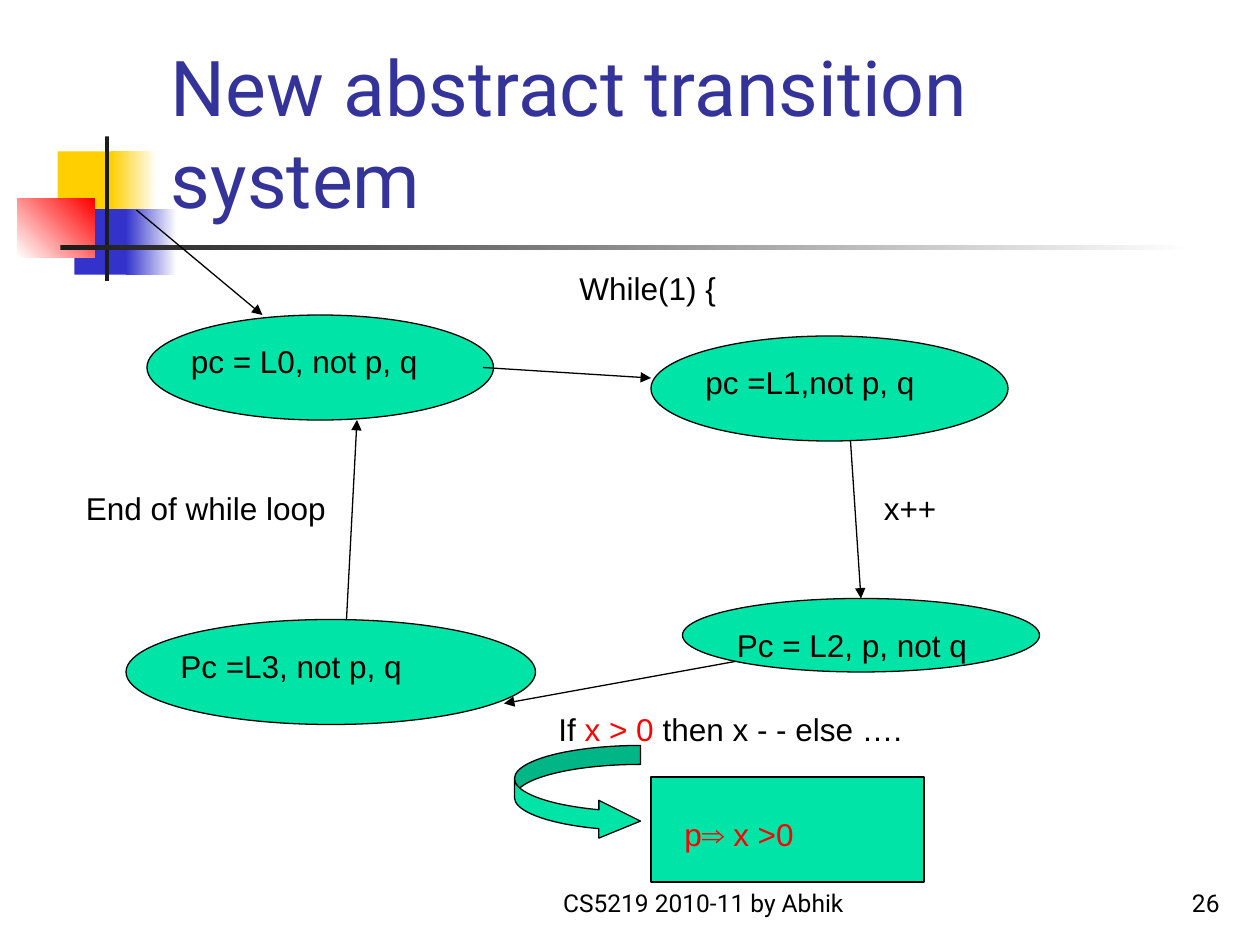
from lxml.etree import SubElement
from pptx import Presentation
from pptx.dml.color import RGBColor
from pptx.enum.shapes import MSO_CONNECTOR, MSO_SHAPE
from pptx.enum.text import MSO_ANCHOR, MSO_AUTO_SIZE, PP_ALIGN
from pptx.oxml.ns import qn
from pptx.util import Pt

BLACK = RGBColor(0x00, 0x00, 0x00)
WHITE = RGBColor(0xFF, 0xFF, 0xFF)
RED = RGBColor(0xFF, 0x00, 0x00)
GREEN = RGBColor(0x00, 0xE4, 0xA8)
YELLOW = RGBColor(0xFF, 0xCF, 0x01)
BLUE = RGBColor(0x33, 0x33, 0xCC)
CHARCOAL = RGBColor(0x1C, 0x1C, 0x1C)
TITLE_BLUE = RGBColor(0x33, 0x33, 0x99)

# Left, top, width, height, start colour, end colour (None: solid), angle
ORNAMENTS = [
    (33, 86.5, 35, 37.5, YELLOW, None, 0),
    (63.5, 86.5, 26, 37.5, YELLOW, WHITE, 0),
    (42.5, 119.5, 33, 37.5, BLUE, None, 0),
    (72, 119.5, 29, 37.5, BLUE, WHITE, 0),
    (10, 113.5, 44, 33.5, WHITE, RED, 45),
    (60, 78, 2.25, 82.5, CHARCOAL, None, 0),
    (34.5, 140.25, 648, 2.5, CHARCOAL, WHITE, 0),
]

# Ellipse frame, label left, top and width, label text
STATES = [
    ((84, 180, 198, 60), (102, 192, 150), "pc = L0, not p, q"),
    ((372, 192, 204, 60), (396, 204, 144), "pc =L1,not p, q"),
    ((390, 342, 204, 42), (414, 354, 156), "Pc = L2, p, not q"),
    ((72, 354, 234, 60), (96, 366, 186), "Pc =L3, not p, q"),
]

# Start and end points
TRANSITIONS = [
    ((78, 120), (150, 180)),
    ((276, 210), (372, 216)),
    ((486, 252), (492, 342)),
    ((420, 378), (288, 402)),
    ((198, 354), (204, 240)),
]

# Left, top and width, coloured runs
ACTIONS = [
    ((324, 150, 138), [("While(1) {", BLACK)]),
    ((498, 276, 144), [("x++", BLACK)]),
    ((312, 402, 276), [("If ", BLACK), ("x > 0", RED), (" then x - - else ….", BLACK)]),
    ((42, 276, 168), [("End of while loop", BLACK)]),
]


def add_runs(para, runs, size, font_name):
    for text, colour in runs:
        span = para.add_run()
        span.text = text
        span.font.size = Pt(size)
        span.font.name = font_name
        span.font.color.rgb = colour


def add_ornament(page, left, top, width, height, start, end, angle):
    block = page.shapes.add_shape(
        MSO_SHAPE.RECTANGLE, Pt(left), Pt(top), Pt(width), Pt(height))
    block.shadow.inherit = False
    block.line.fill.background()
    if end is None:
        block.fill.solid()
        block.fill.fore_color.rgb = start
        return
    block.fill.gradient()
    block.fill.gradient_angle = angle
    for stop, colour in zip(block.fill.gradient_stops, (start, end)):
        stop.color.rgb = colour


def add_figure(page, kind, frame):
    figure = page.shapes.add_shape(kind, *map(Pt, frame))
    figure.shadow.inherit = False
    figure.fill.solid()
    figure.fill.fore_color.rgb = GREEN
    figure.line.color.rgb = BLACK
    figure.line.width = Pt(0.75)
    return figure


def add_label(page, place, runs):
    left, top, width = place
    box = page.shapes.add_textbox(Pt(left), Pt(top), Pt(width), Pt(28.8))
    box.text_frame.word_wrap = True
    box.text_frame.auto_size = MSO_AUTO_SIZE.SHAPE_TO_FIT_TEXT
    add_runs(box.text_frame.paragraphs[0], runs, 18, "Arial")


def add_arrow(page, start, end):
    arrow = page.shapes.add_connector(
        MSO_CONNECTOR.STRAIGHT, *map(Pt, start + end))
    arrow.line.color.rgb = BLACK
    arrow.line.width = Pt(0.75)
    SubElement(arrow.line._get_or_add_ln(), qn("a:tailEnd"), type="triangle")
    SubElement(arrow._element.spPr, qn("a:effectLst"))


def add_footer(page, left, width, text, alignment):
    box = page.shapes.add_textbox(Pt(left), Pt(492), Pt(width), Pt(36))
    box.text_frame.word_wrap = True
    box.text_frame.vertical_anchor = MSO_ANCHOR.BOTTOM
    para = box.text_frame.paragraphs[0]
    para.alignment = alignment
    add_runs(para, [(text, BLACK)], 14, "Roboto")


def set_title(page, text):
    title = page.shapes.title
    title.left, title.top, title.width, title.height = map(Pt, (90.5, 16.5, 613.5, 115))
    title.text_frame.word_wrap = True
    title.text_frame.auto_size = MSO_AUTO_SIZE.NONE
    title.text_frame.vertical_anchor = MSO_ANCHOR.BOTTOM
    para = title.text_frame.paragraphs[0]
    para.alignment = PP_ALIGN.LEFT
    add_runs(para, [(text, TITLE_BLUE)], 44, "Roboto")
    # Bring the title in front of the ornaments
    page.shapes._spTree.append(title._element)


def main():
    deck = Presentation()
    deck.slide_width, deck.slide_height = Pt(720), Pt(540)
    page = deck.slides.add_slide(deck.slide_layouts[5])

    # Ornaments, footer and title
    for ornament in ORNAMENTS:
        add_ornament(page, *ornament)
    add_footer(page, 288, 228, "CS5219 2010-11 by Abhik", PP_ALIGN.CENTER)
    add_footer(page, 554.5, 149.5, "26", PP_ALIGN.RIGHT)
    set_title(page, "New abstract transition system")

    # Transition system
    for frame, place, text in STATES:
        add_figure(page, MSO_SHAPE.OVAL, frame)
        add_label(page, place, [(text, BLACK)])
    for start, end in TRANSITIONS:
        add_arrow(page, start, end)
    for place, runs in ACTIONS:
        add_label(page, place, runs)

    # Predicate behind the condition
    add_figure(page, MSO_SHAPE.RECTANGLE, (372, 444, 156, 60))
    add_label(page, (384, 462, 138), [("p⇒ x >0", RED)])
    bend = add_figure(page, MSO_SHAPE.CURVED_RIGHT_ARROW, (294, 426, 72, 54))
    for index, ratio in enumerate((0.2, 0.4, 0.44)):
        bend.adjustments[index] = ratio

    deck.save("out.pptx")


if __name__ == "__main__":
    main()
